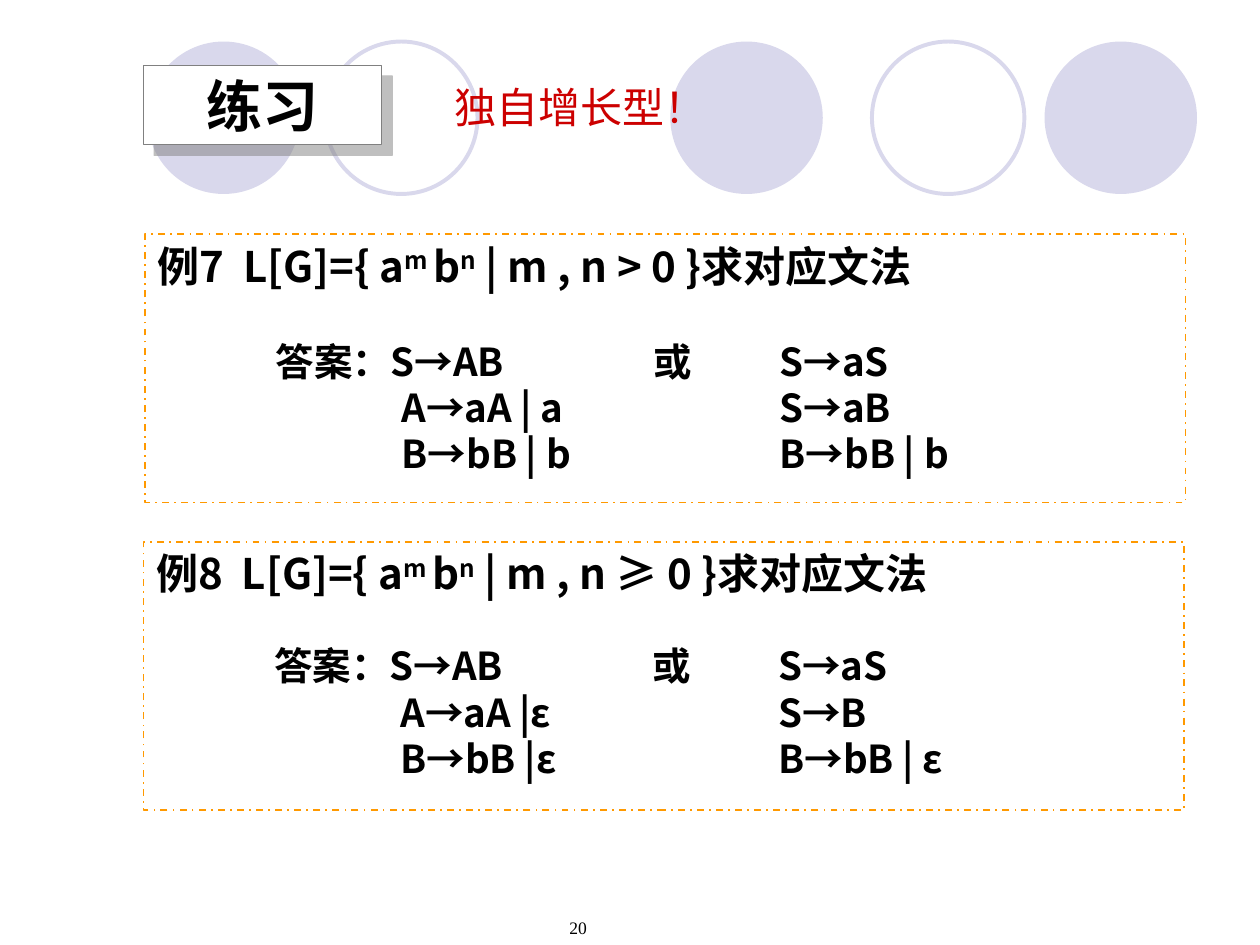
from lxml import etree
from pptx import Presentation
from pptx.dml.color import RGBColor
from pptx.enum.dml import MSO_LINE
from pptx.enum.shapes import MSO_SHAPE
from pptx.enum.text import MSO_ANCHOR, PP_ALIGN
from pptx.oxml.ns import qn
from pptx.util import Inches, Pt

OVAL, RECT = MSO_SHAPE.OVAL, MSO_SHAPE.RECTANGLE
DASH_DOT = MSO_LINE.DASH_DOT
TOP, MIDDLE = MSO_ANCHOR.TOP, MSO_ANCHOR.MIDDLE
LEFT, CENTER = PP_ALIGN.LEFT, PP_ALIGN.CENTER

SANS, SERIF, ARIAL = "Noto Sans CJK SC", "Times New Roman", "Arial"
LILAC, ORANGE, GRAY = "D9D8EC", "FF9900", "808080"
BLACK, WHITE, RED = "000000", "FFFFFF", "CC0000"


def rgb(value):
    return RGBColor.from_string(value)


class SlideBuilder:
    """Holds the style and the current slide."""

    HEADING = {"name": SANS, "size": Pt(24), "bold": True}
    ANSWER = {"name": SANS, "size": Pt(22), "bold": True}
    TITLE = {"name": ARIAL, "size": Pt(32), "bold": True}
    NOTE = {"name": SERIF, "size": Pt(24)}
    NUMBER = {"name": SERIF, "size": Pt(10)}

    def __init__(self, slide):
        self.slide = slide

    def shape(self, kind, x, y, w, h, fill=None, line=None, width=1.0, dash=None):
        sp = self.slide.shapes.add_shape(kind, Inches(x), Inches(y), Inches(w), Inches(h))
        sp.shadow.inherit = False
        if fill:
            sp.fill.solid()
            sp.fill.fore_color.rgb = rgb(fill)
        else:
            sp.fill.background()
        if line:
            sp.line.color.rgb = rgb(line)
            sp.line.width = Pt(width)
            if dash:
                sp.line.dash_style = dash
        else:
            sp.line.fill.background()
        return sp

    def drop_shadow(self, sp, color, distance):
        effects = sp._element.spPr.find(qn("a:effectLst"))
        shadow = etree.SubElement(effects, qn("a:outerShdw"), dist=str(Pt(distance)),
                                  dir="2700000", algn="ctr", rotWithShape="0")
        clr = etree.SubElement(shadow, qn("a:srgbClr"), val=color)
        etree.SubElement(clr, qn("a:alpha"), val="50000")

    def set_text(self, sp, lines, style, color=BLACK, align=LEFT, anchor=TOP,
                 wrap=True, tabs=0):
        """Each line is a list of (text, superscript percent) pairs."""
        tf = sp.text_frame
        tf.word_wrap = wrap
        tf.vertical_anchor = anchor
        for i, line in enumerate(lines):
            p = tf.add_paragraph() if i else tf.paragraphs[0]
            p.alignment = align
            p.line_spacing = Pt(style["size"].pt * 1.2)
            if tabs:
                stops = etree.SubElement(p._p.get_or_add_pPr(), qn("a:tabLst"))
                for n in range(1, tabs + 1):
                    etree.SubElement(stops, qn("a:tab"), pos=str(Inches(n)), algn="l")
            for text, raised in line:
                r = p.add_run()
                r.text = text
                r.font.color.rgb = rgb(color)
                for key, value in style.items():
                    setattr(r.font, key, value)
                rPr = r._r.get_or_add_rPr()
                etree.SubElement(rPr, qn("a:ea"), typeface=SANS)
                if raised:
                    rPr.set("baseline", str(raised * 1000))

    def text(self, x, y, w, h, lines, style, **options):
        sp = self.slide.shapes.add_textbox(Inches(x), Inches(y), Inches(w), Inches(h))
        self.set_text(sp, [[(line, 0)] for line in lines], style, **options)

    def example(self, number, condition, rules, x, y, answer_y):
        """Dash-dot frame with the question, and the answers set on tab stops."""
        sp = self.shape(RECT, x, y, 8.26, 2.13, line=ORANGE, dash=DASH_DOT)
        question = [(f"例{number}  L[G]={{ a", 0), ("m ", 30), ("b", 0), ("n", 30),
                    (f" | m , n {condition} 0 }}求对应文法", 0)]
        self.set_text(sp, [question], self.HEADING)
        self.text(x + 0.94, answer_y, 7.24, 1.2, rules, self.ANSWER, tabs=7)


def main():
    prs = Presentation()
    prs.slide_width, prs.slide_height = Inches(10), Inches(7.5)
    s = SlideBuilder(prs.slides.add_slide(prs.slide_layouts[6]))

    # Background circles
    for x in (5.32, 8.29, 1.17):
        s.shape(OVAL, x, 0.33, 1.21, 1.21, fill=LILAC)
    for x in (6.92, 2.58):
        s.shape(OVAL, x, 0.33, 1.21, 1.21, line=LILAC, width=2.25)

    # Page number
    s.text(4.42, 7.23, 1.58, 0.27, ["20"], s.NUMBER)

    # Title and remark
    title = s.shape(RECT, 1.14, 0.52, 1.89, 0.63, fill=WHITE, line=GRAY, width=0.75)
    s.drop_shadow(title, GRAY, 8.5)
    s.set_text(title, [[("练习", 0)]], s.TITLE, align=CENTER, anchor=MIDDLE)
    s.text(3.51, 0.6, 2.2, 0.5, ["独自增长型！"], s.NOTE, color=RED, wrap=False)

    # Examples
    first = "答案：S→AB\t\t或\tS→aS"
    s.example(7, ">", [first, "\tA→aA | a\t\tS→aB", "\tB→bB | b\t\tB→bB | b"],
              1.15, 1.86, 2.63)
    s.example(8, "≥", [first, "\tA→aA |ε\t\tS→B", "\tB→bB |ε\t\tB→bB | ε"],
              1.14, 4.3, 5.05)

    prs.save("out.pptx")


if __name__ == "__main__":
    main()
